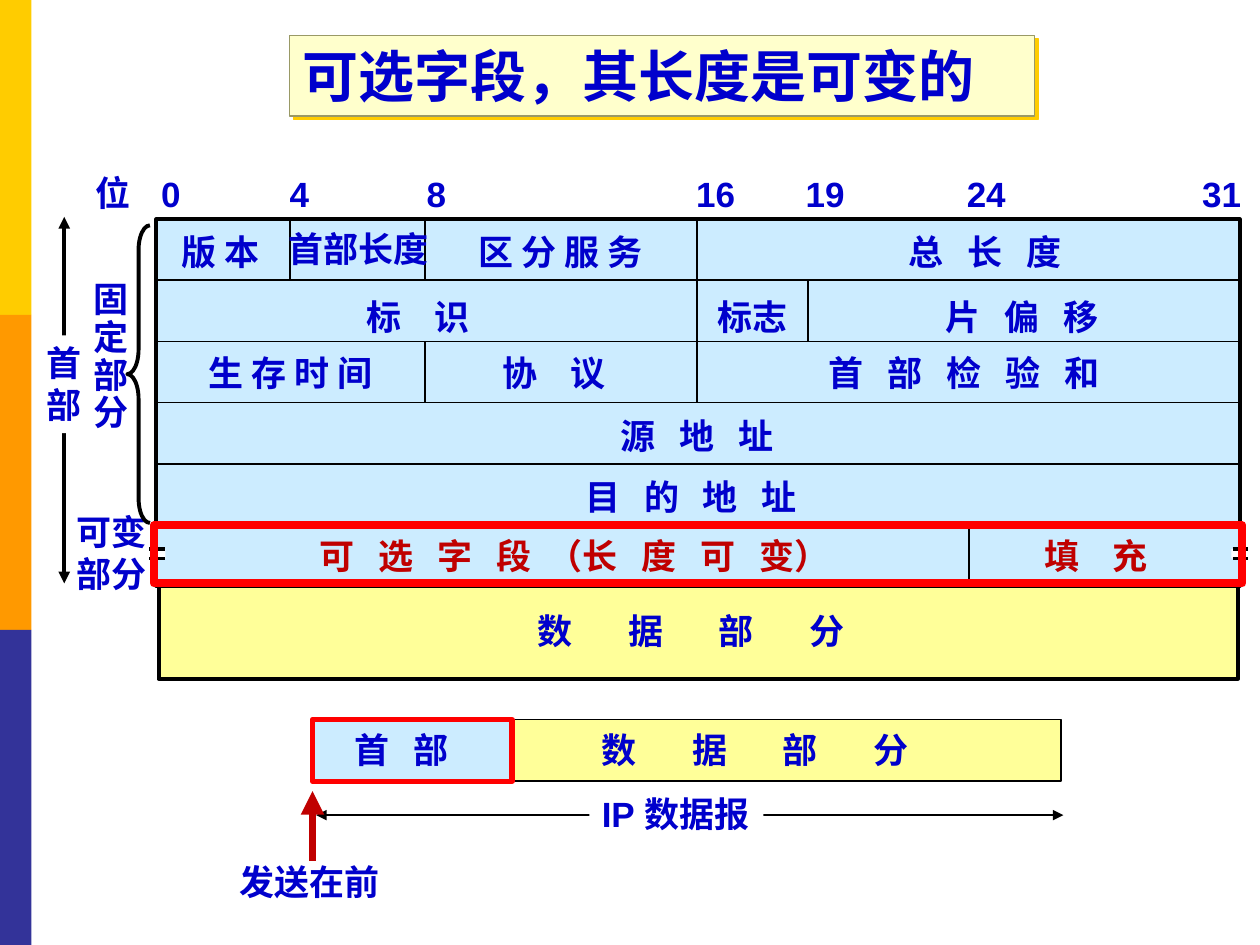
from dataclasses import dataclass
from lxml.etree import SubElement
from pptx import Presentation
from pptx.dml.color import RGBColor
from pptx.enum.shapes import MSO_CONNECTOR, MSO_SHAPE
from pptx.enum.text import MSO_ANCHOR, PP_ALIGN
from pptx.oxml.ns import qn
from pptx.util import Inches, Pt

BLUE, RED, DARK = "0000CC", "FF0000", "C00000"
SKY, CREAM, WHITE, BLACK = "CCECFF", "FFFF99", "FFFFFF", "000000"
FONT = {"name": "Arial", "size": Pt(20), "bold": True}
TEXT_ROW = 0.89
NEAR, MID, FAR = 4.55, 7.2, 13.55
BITS = {"0": -0.22, "4": 3.57, "8": 7.62, "16": 15.58, "19": 18.81, "24": 23.57, "31": 30.52}
FIELDS = [
    ("版 本", 0.37, 0.08, 3.12, 0, BLUE),
    ("首部长度", 3.53, 0.04, 4.95, 0, BLUE),
    ("区 分 服 务", 9.15, 0.08, 5.8, 0, BLUE),
    ("总 长 度", 21.86, 0.08, 5.8, NEAR, BLUE),
    ("标 识", 5.84, 1.15, 4.2, MID, BLUE),
    ("标志", 16.2, 1.15, 2.83, 0, BLUE),
    ("片 偏 移", 22.94, 1.15, 5.8, NEAR, BLUE),
    ("生 存 时 间", 1.19, 2.06, 5.8, 0, BLUE),
    ("协 议", 9.85, 2.06, 4.2, MID, BLUE),
    ("首 部 检 验 和", 19.48, 2.06, 9.6, NEAR, BLUE),
    ("源 地 址", 13.35, 3.09, 5.8, NEAR, BLUE),
    ("目 的 地 址", 12.3, 4.1, 7.7, NEAR, BLUE),
    ("可 选 字 段| （|长 度 可 |变）", 4.46, 5.05, 17.2, NEAR, DARK),
    ("填 充", 25.87, 5.05, 4.2, MID, DARK),
]
EDGES = [(3.94, 0, 1), (7.93, 0, 1), (7.93, 2, 3), (15.96, 0, 3), (19.24, 1, 2), (24, 5, 6)]


@dataclass
class Grid:
    """A box on a slide, split into columns and rows."""
    slide: object
    left: float
    top: float
    width: float
    height: float
    cols: float = 1
    rows: float = 1

    def at(self, col, row):
        """Return the point at a column and row."""
        return (Inches(self.left + col * self.width / self.cols),
                Inches(self.top + row * self.height / self.rows))

    def box(self, col, row, wide, high):
        """Return left, top, width and height of a span of cells."""
        x, y = self.at(col, row)
        return (x, y, Inches(wide * self.width / self.cols),
                Inches(high * self.height / self.rows))


def hue(code):
    """Turn a hex string into a colour."""
    return RGBColor.from_string(code)


def paint(shape, fill=None, line=None, size=1):
    """Set fill and outline of a shape and drop its shadow."""
    if fill:
        shape.fill.solid()
        shape.fill.fore_color.rgb = hue(fill)
    else:
        shape.fill.background()
    if line:
        shape.line.color.rgb = hue(line)
        shape.line.width = Pt(size)
    else:
        shape.line.fill.background()
    shape.shadow.inherit = False


def block(grid, span, fill=None, line=None, size=1, kind=MSO_SHAPE.RECTANGLE):
    """Add a preset shape over a span of cells."""
    shape = grid.slide.shapes.add_shape(kind, *grid.box(*span))
    paint(shape, fill, line, size)
    return shape


def rule(grid, start, end, size=1, color=BLACK, ends=()):
    """Add a line between two grid points, with arrowheads on the named ends."""
    line = grid.slide.shapes.add_connector(
        MSO_CONNECTOR.STRAIGHT, *grid.at(*start), *grid.at(*end))
    line.line.color.rgb = hue(color)
    line.line.width = Pt(size)
    pen = line.line._get_or_add_ln()
    for end in ends:
        SubElement(pen, qn("a:" + end), type="triangle")
    SubElement(line._element.spPr, qn("a:effectLst"))


def style(run, color=BLUE, gap=0, **more):
    """Format a run from a dict of font values."""
    for key, val in {**FONT, **more}.items():
        setattr(run.font, key, val)
    run.font.color.rgb = hue(color)
    if gap:
        run._r.get_or_add_rPr().set("spc", str(round(gap * 100)))


def label(grid, span, text, color=BLUE, gap=0, fill=None, wrap=False, lead=None):
    """Add a text box with a paragraph a line; bars switch letter gaps off and on."""
    shape = grid.slide.shapes.add_textbox(*grid.box(*span))
    if fill:
        paint(shape, fill)
    frame = shape.text_frame
    frame.word_wrap = wrap
    for row, words in enumerate(text.split("\n")):
        para = frame.add_paragraph() if row else frame.paragraphs[0]
        if lead:
            para.line_spacing = lead
        for num, part in enumerate(words.split("|")):
            run = para.add_run()
            run.text = part
            style(run, color, 0 if num % 2 else gap)


def bars(grid):
    """Stack the coloured bars on the left edge."""
    for row, color in enumerate(("FFCC00", "FF9900", "333399")):
        block(grid, (0, row, 1, 1), color)


def head(grid, text):
    """Place and format the title."""
    title = grid.slide.shapes.title
    for key, val in zip(("left", "top", "width", "height"), grid.box(0, 0, 1, 1)):
        setattr(title, key, val)
    paint(title, "FFFFCC", "999966", 0.75)
    cast = SubElement(title._element.spPr.find(qn("a:effectLst")), qn("a:outerShdw"),
                      dist=str(Pt(2.8)), dir="2700000", algn="ctr", rotWithShape="0")
    SubElement(cast, qn("a:srgbClr"), val="FFCC00")
    frame = title.text_frame
    frame.text = text
    frame.word_wrap = True
    frame.vertical_anchor = MSO_ANCHOR.MIDDLE
    frame.paragraphs[0].alignment = PP_ALIGN.LEFT
    style(frame.paragraphs[0].runs[0], size=Pt(32))


def side(grid):
    """Draw the labels, arrow and brace left of the field table."""
    label(grid, (4.1, -0.89, 4.8, TEXT_ROW), "位")
    label(grid, (3.9, 0.93, 4.8, 2.7), "固\n定\n部\n分", lead=0.9)
    label(grid, (2.6, 4.66, 7.6, 1.6), "可变\n部分")
    rule(grid, (2.6, -0.04), (2.6, 5.96), 2.25, ends=("headEnd", "tailEnd"))
    label(grid, (0.2, 1.9, 4.8, 1.6), "首\n部", fill=WHITE)
    brace = block(grid, (7.6, 0.1, 1.8, 4.87), None, BLACK, 2.25, MSO_SHAPE.LEFT_BRACE)
    brace.adjustments[0] = 1.08


def table(grid):
    """Draw the bit scale, the header fields and the data part."""
    block(grid, (0, 0, 32, 6), SKY, BLACK, 2)
    block(grid, (0.07, 6, 31.88, 1.52), CREAM, BLACK, 2.25)
    for row in range(1, 6):
        rule(grid, (0, row), (32, row))
    for bit, top, end in EDGES:
        rule(grid, (bit, top), (bit, end))
    for bit, left in BITS.items():
        label(grid, (left, -0.87, 0.8 + 0.6 * len(bit), TEXT_ROW), bit)
    for text, left, top, wide, gap, color in FIELDS:
        label(grid, (left, top, wide, TEXT_ROW), text, color, gap)
    for left in (-0.25, 31.75):
        block(grid, (left, 5.4, 0.52, 0.15), WHITE)
        for row in (5.4, 5.55):
            rule(grid, (left + 0.04, row), (left + 0.5, row), 2)
    label(grid, (10.9, 6.29, 11.83, TEXT_ROW), "数 据 部 分", gap=FAR, wrap=True)
    block(grid, (-0.07, 5.01, 32.15, 0.95), None, RED, 4.5)


def packet(grid):
    """Draw the whole datagram with its span and sending order."""
    block(grid, (0, 0, 3.2, 1), SKY, BLACK)
    block(grid, (3.2, 0, 8.8, 1), CREAM, BLACK)
    label(grid, (0.48, 0.04, 2.2, TEXT_ROW), "首 部", gap=NEAR)
    label(grid, (4.44, 0.04, 6.85, TEXT_ROW), "数 据 部 分", gap=FAR, wrap=True)
    rule(grid, (0.06, 1.55), (12.04, 1.55), ends=("headEnd", "tailEnd"))
    label(grid, (4.44, 1.08, 2.79, TEXT_ROW), "IP 数据报", fill=WHITE, wrap=True)
    block(grid, (0, 0, 3.2, 1), None, RED, 3)
    rule(grid, (0, 2.29), (0, 1.16), 4.5, DARK, ("tailEnd",))
    label(grid, (-1.37, 2.18, 2.69, TEXT_ROW), "发送在前")


def main():
    """Build the slide and save it."""
    deck = Presentation()
    deck.slide_width, deck.slide_height = Inches(10), Inches(7.5)
    slide = deck.slides.add_slide(deck.slide_layouts[5])
    bars(Grid(slide, 0, 0, 0.25, 7.5, 1, 3))
    head(Grid(slide, 2.3, 0.28, 5.91, 0.64), "可选字段，其长度是可变的")
    side(Grid(slide, 0.25, 1.74, 1, 2.91, 10, 6))
    table(Grid(slide, 1.24, 1.74, 8.6, 2.91, 32, 6))
    packet(Grid(slide, 2.48, 5.71, 5.94, 0.49, 12))
    deck.save("out.pptx")


if __name__ == "__main__":
    main()
